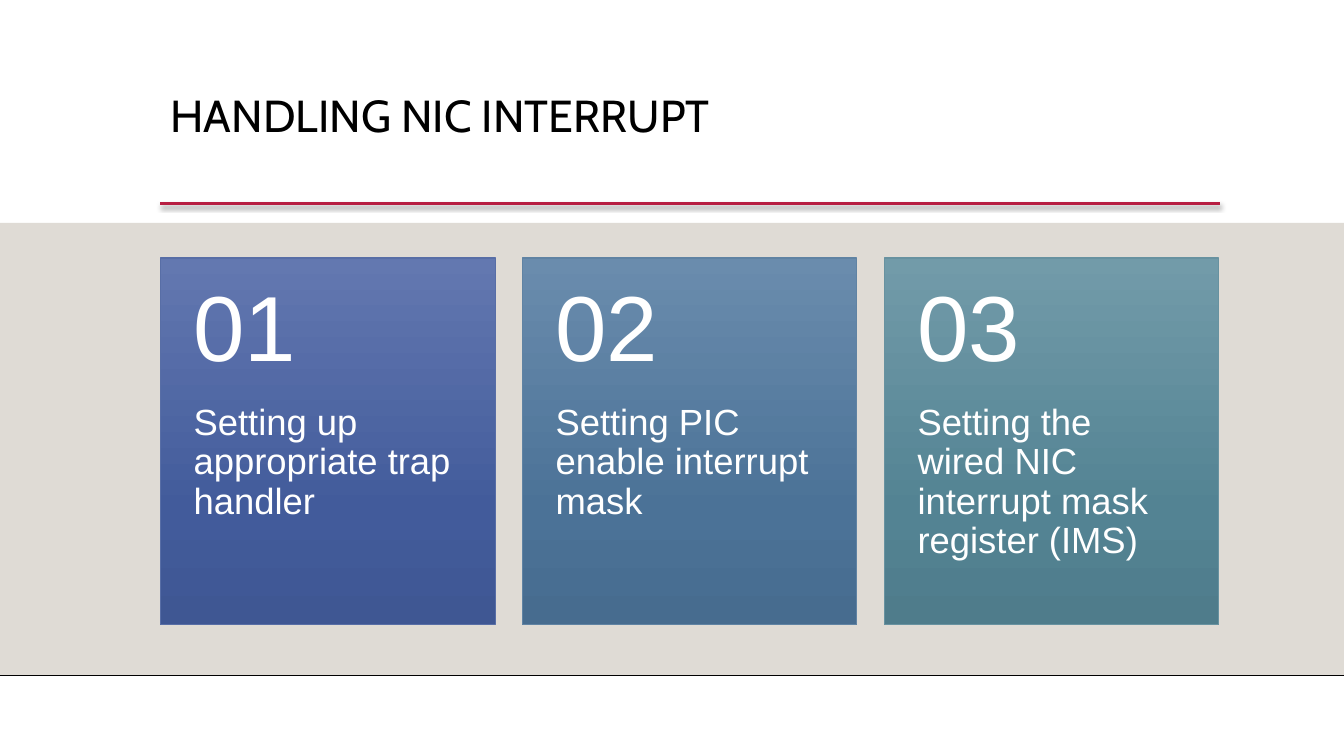
import copy

import pptx
import pptx.dml.color
import pptx.enum.shapes
import pptx.enum.text
import pptx.oxml
import pptx.oxml.ns
import pptx.util

Inches = pptx.util.Inches
Pt = pptx.util.Pt
RECT = pptx.enum.shapes.MSO_SHAPE.RECTANGLE
ANCHOR = pptx.enum.text.MSO_ANCHOR

WIDTH, HEIGHT = 13.33, 7.5
LEFT = 1.59
BAND_TOP, BAND_END = 2.21, 6.7
CARD_W, CARD_H, PITCH = 3.32, 3.64, 3.59
HEAD_H = 1.45

STEPS = [
    ("Setting up appropriate trap handler",
     ("6378B0", "425B9B", "3F5793"), "586EA6"),
    ("Setting PIC enable interrupt mask",
     ("6A8CAD", "4B7297", "476C8F"), "6083A3"),
    ("Setting the wired NIC interrupt mask register (IMS)",
     ("729BA9", "538393", "4F7C8B"), "6892A0"),
]
SHADOW = (
    '<a:outerShdw blurRad="39370" dist="22860" dir="5400000" rotWithShape="0">'
    '<a:srgbClr val="000000"><a:alpha val="35000"/></a:srgbClr></a:outerShdw>'
)


def color(value):
    return pptx.dml.color.RGBColor.from_string(value)


def write(shape, text, size, font, ink, anchor=ANCHOR.TOP,
          insets=(0.1, 0.05, 0.1, 0.05)):
    frame = shape.text_frame
    frame.word_wrap = True
    frame.auto_size = pptx.enum.text.MSO_AUTO_SIZE.NONE
    frame.vertical_anchor = anchor
    (frame.margin_left, frame.margin_top,
     frame.margin_right, frame.margin_bottom) = map(Inches, insets)
    para = frame.paragraphs[0]
    para.alignment = pptx.enum.text.PP_ALIGN.LEFT
    para.line_spacing = 0.9
    run = para.add_run()
    run.text = text
    run.font.size = Pt(size)
    run.font.name = font
    run.font.color.rgb = color(ink)


def add_line(shapes, left, right, top, ink, weight, effect=""):
    line = shapes.add_connector(
        pptx.enum.shapes.MSO_CONNECTOR.STRAIGHT,
        Inches(left), Inches(top), Inches(right), Inches(top))
    line.line.color.rgb = color(ink)
    line.line.width = Pt(weight)
    space = pptx.oxml.ns.nsdecls("a")
    line._element.spPr.append(pptx.oxml.parse_xml(
        f"<a:effectLst {space}>{effect}</a:effectLst>"))


def shade(shape, inks):
    """Fill the shape from top to bottom with three colours."""
    shape.fill.gradient()
    shape.fill.gradient_angle = 270
    stops = shape._element.spPr.find(".//" + pptx.oxml.ns.qn("a:gsLst"))
    stops.append(copy.deepcopy(stops[-1]))
    for stop, ink, place in zip(shape.fill.gradient_stops, inks, (0, 0.69, 1)):
        stop.color.rgb = color(ink)
        stop.position = place


def add_title(slide, left, top, width, height):
    title = slide.shapes.title
    title.left, title.top = Inches(left), Inches(top)
    title.width, title.height = Inches(width), Inches(height)
    write(title, "HANDLING NIC INTERRUPT", 32, "Cabin", "000000")
    add_line(slide.shapes, left, 12.1, 2.02, "B71E42", 2.5, SHADOW)


def add_band(shapes, top, end):
    band = shapes.add_shape(
        RECT, 0, Inches(top), Inches(WIDTH), Inches(end - top))
    band.shadow.inherit = False
    band.fill.solid()
    band.fill.fore_color.rgb = color("DFDBD5")
    band.line.fill.background()
    add_line(shapes, 0, WIDTH, end, "000001", 1)


def add_card(shapes, left, top, number, text, inks, edge):
    card = shapes.add_shape(
        RECT, Inches(left), Inches(top), Inches(CARD_W), Inches(CARD_H))
    card.shadow.inherit = False
    shade(card, inks)
    card.line.color.rgb = color(edge)
    card.line.width = Pt(0.75)
    body = shapes.add_textbox(
        Inches(left), Inches(top + HEAD_H),
        Inches(CARD_W), Inches(CARD_H - HEAD_H))
    write(body, text, 26, "Arial", "FFFFFF", insets=(0.33, 0, 0.33, 0.36))
    head = shapes.add_textbox(
        Inches(left), Inches(top), Inches(CARD_W), Inches(HEAD_H))
    write(head, f"{number:02}", 66, "Arial", "FFFFFF", anchor=ANCHOR.MIDDLE,
          insets=(0.33, 0.18, 0.33, 0.18))


def main():
    deck = pptx.Presentation()
    deck.slide_width, deck.slide_height = Inches(WIDTH), Inches(HEIGHT)
    slide = deck.slides.add_slide(deck.slide_layouts[5])
    add_band(slide.shapes, BAND_TOP, BAND_END)
    add_title(slide, LEFT, 0.88, 10.5, 1.15)
    cards = slide.shapes.add_group_shape().shapes
    for index, (text, inks, edge) in enumerate(STEPS):
        add_card(cards, LEFT + index * PITCH, 2.56, index + 1, text, inks, edge)
    deck.save("out.pptx")


if __name__ == "__main__":
    main()
